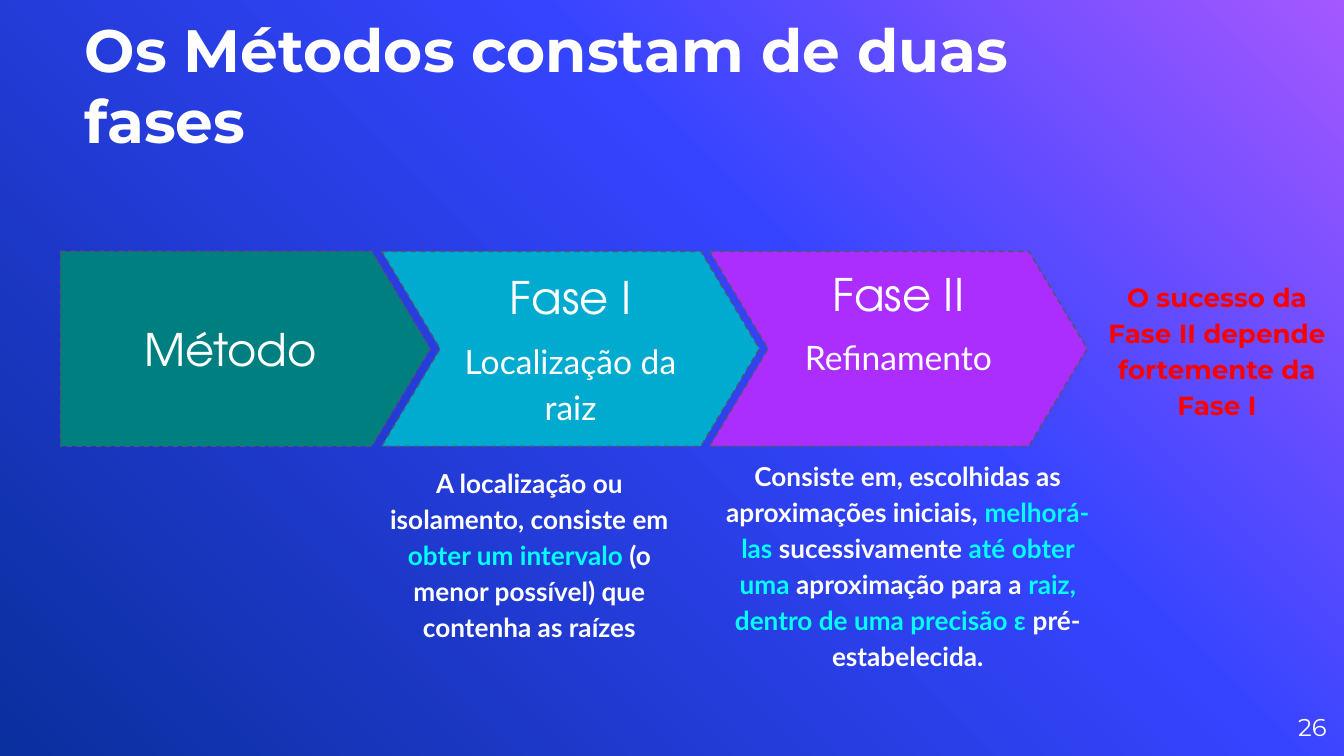
from copy import deepcopy
from dataclasses import dataclass

from pptx import Presentation
from pptx.dml.color import RGBColor
from pptx.enum import dml, shapes, text
from pptx.oxml import ns
from pptx.util import Inches, Pt

WHITE, CYAN, RED = "FFFFFF", "00FFFF", "FF0000"
BODY, TITLE, PHASE = "Lato", "Montserrat", "TeX Gyre Adventor"
ALIGN, ANCHOR = text.PP_ALIGN, text.MSO_ANCHOR
SPACED = {"line_spacing": 1.15, "space_before": Pt(6)}
PAGE_WIDTH = Inches(10)
PAGE_HEIGHT = PAGE_WIDTH * 9 // 16


@dataclass
class Span:
    words: str
    size: float = 14
    font: str = BODY
    color: str = WHITE
    bold: bool = False


@dataclass
class Para:
    spans: list[Span]
    format: dict
    align: ALIGN = ALIGN.CENTER


@dataclass
class Note:
    left: float
    top: float
    width: float
    height: float
    para: Para
    anchor: ANCHOR = ANCHOR.TOP


@dataclass
class Arrow:
    kind: shapes.MSO_SHAPE
    left: float
    width: float
    fill: str
    heading: str
    detail: str = ""
    bottom_inset: float = 0.1


def rgb(value: str) -> RGBColor:
    return RGBColor.from_string(value)


def set_all(target, values: dict) -> None:
    for name, value in values.items():
        setattr(target, name, value)


def write(frame, paras: list[Para], anchor: ANCHOR, inset: float = 0,
          bottom: float = 0) -> None:
    set_all(frame, {
        "word_wrap": True, "vertical_anchor": anchor,
        "margin_left": Inches(inset), "margin_right": Inches(inset),
        "margin_top": Inches(inset), "margin_bottom": Inches(bottom),
    })
    for index, para in enumerate(paras):
        line = frame.add_paragraph() if index else frame.paragraphs[0]
        set_all(line, {"alignment": para.align, **para.format})
        for span in para.spans:
            run = line.add_run()
            run.text = span.words
            set_all(run.font, {"size": Pt(span.size), "name": span.font, "bold": span.bold})
            run.font.color.rgb = rgb(span.color)


def draw_note(page, note: Note) -> None:
    box = page.shapes.add_textbox(
        Inches(note.left), Inches(note.top), Inches(note.width), Inches(note.height))
    write(box.text_frame, [note.para], note.anchor)


def draw_arrow(page, arrow: Arrow) -> None:
    shape = page.shapes.add_shape(
        arrow.kind, Inches(arrow.left), Inches(1.87), Inches(arrow.width), Inches(1.45))
    shape.adjustments[0] = 0.3
    shape.shadow.inherit = False
    shape.fill.solid()
    shape.fill.fore_color.rgb = rgb(arrow.fill)
    shape.line.color.rgb = rgb("505670")
    set_all(shape.line, {"width": Pt(0.75), "dash_style": dml.MSO_LINE.DASH})
    paras = [Para([Span(arrow.heading, 24, PHASE)], {})]
    if arrow.detail:
        paras.append(Para([Span(arrow.detail, 18)], SPACED))
    write(shape.text_frame, paras, ANCHOR.MIDDLE, 0.1, arrow.bottom_inset)


def paint_background(page, stops: list[tuple[float, str]]) -> None:
    fill = page.background.fill
    fill.gradient()
    fill.gradient_angle = 225
    stop_list = page.element.find(".//" + ns.qn("a:gsLst"))
    stop_list.append(deepcopy(stop_list[-1]))
    for stop, (position, color) in zip(fill.gradient_stops, stops):
        stop.position = position
        stop.color.rgb = rgb(color)


def highlighted(*words: str) -> Para:
    """Bold text whose every second piece is cyan."""
    return Para([Span(piece, color=(WHITE, CYAN)[index % 2], bold=True)
                 for index, piece in enumerate(words)], SPACED)


NOTES = [
    # Title
    Note(0.63, 0.53, 7.99, 0.63,
         Para([Span("Os Métodos constam de duas fases", 32, TITLE, bold=True)],
              {}, ALIGN.LEFT), ANCHOR.BOTTOM),
    # Explanations below the phases
    Note(5.34, 3.39, 2.83, 2.13, highlighted(
        "Consiste em, escolhidas as aproximações iniciais, ", "melhorá-las",
        " sucessivamente ", "até obter uma", " aproximação para a ",
        "raiz, dentro de uma precisão ɛ", " pré-estabelecida.")),
    Note(2.76, 3.44, 2.36, 1.97, highlighted(
        "A localização ou isolamento, consiste em ", "obter um intervalo",
        " (o menor possível) que contenha as raízes")),
    # Page number
    Note(9.27, 5.19, 0.6, 0.43, Para([Span("26", 13, TITLE)], {}, ALIGN.RIGHT),
         ANCHOR.MIDDLE),
]

WARNING = Note(8.15, 2.06, 1.81, 1.07, Para(
    [Span("O sucesso da Fase II depende fortemente da Fase I", 14, TITLE, RED, True)],
    SPACED))

ARROWS = [
    Arrow(shapes.MSO_SHAPE.PENTAGON, 0.45, 2.75, "007F80", "Método"),
    Arrow(shapes.MSO_SHAPE.CHEVRON, 2.84, 2.81, "01ABCF", "Fase I", "Localização da raiz"),
    Arrow(shapes.MSO_SHAPE.CHEVRON, 5.28, 2.81, "AB2EFF", "Fase II", "Refinamento", 0.5),
]


def main() -> None:
    deck = Presentation()
    set_all(deck, {"slide_width": PAGE_WIDTH, "slide_height": PAGE_HEIGHT})
    page = deck.slides.add_slide(deck.slide_layouts[6])
    paint_background(page, [(0, "A458FF"), (0.39, "3544FF"), (1, "0A2F9E")])
    for note in NOTES:
        draw_note(page, note)
    for arrow in ARROWS:
        draw_arrow(page, arrow)
    draw_note(page, WARNING)
    deck.save("out.pptx")


if __name__ == "__main__":
    main()
